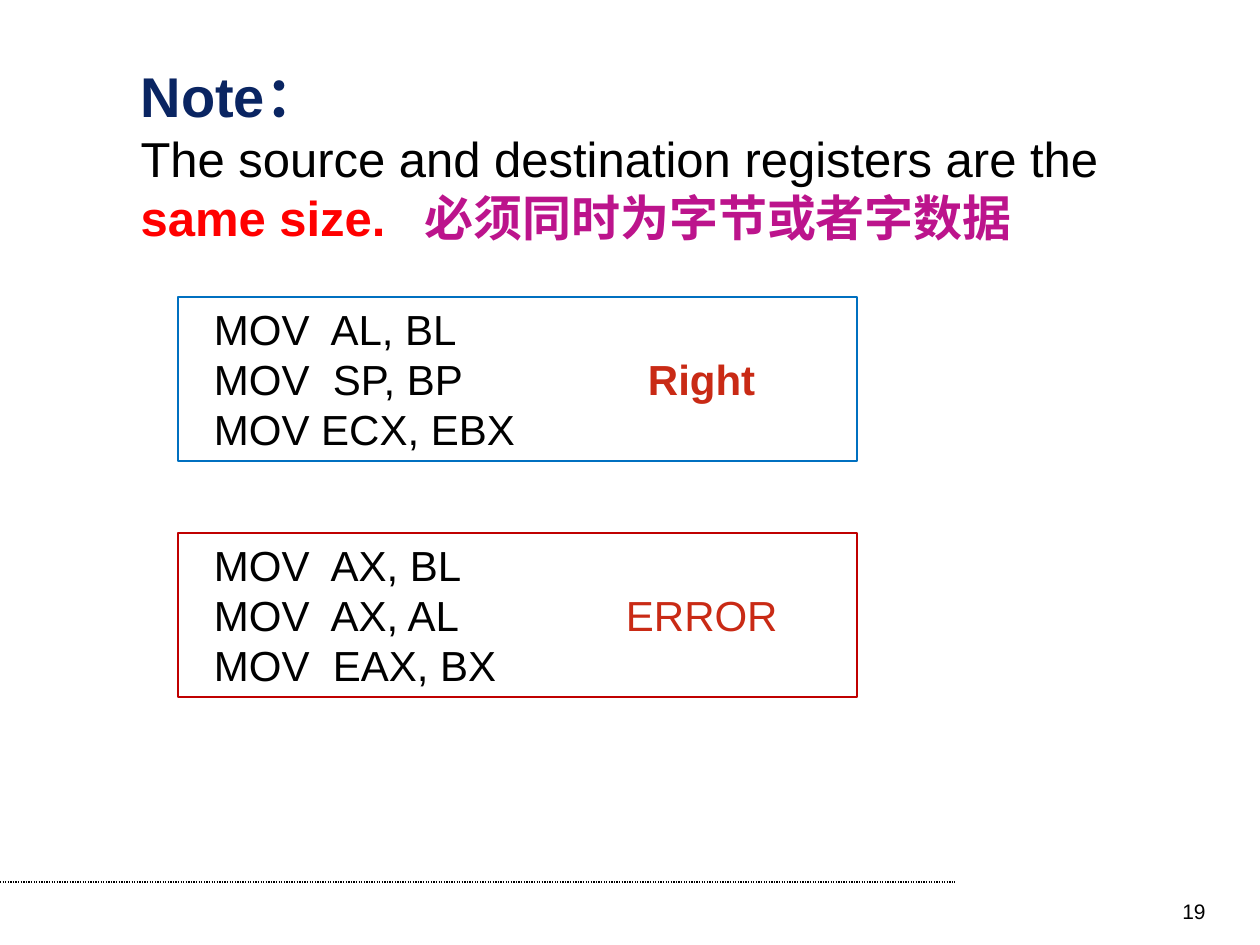
from pptx import Presentation
from pptx.dml.color import RGBColor
from pptx.enum.dml import MSO_LINE
from pptx.enum.shapes import MSO_CONNECTOR, MSO_SHAPE
from pptx.enum.text import MSO_ANCHOR, MSO_AUTO_SIZE, PP_ALIGN
from pptx.oxml.ns import qn
from pptx.util import Emu, Pt
from lxml.etree import SubElement

COLORS = {"navy": "0A2562", "black": "000000", "red": "FF0000",
          "magenta": "BC148C", "verdict": "C92A15",
          "right": "0070C0", "error": "C00000"}


def px(length):
    return Emu(round(length * 914400 / 126))


def add_span(para, text, size, color="black", bold=False):
    span = para.add_run()
    span.text = text
    span.font.name = "Arial"
    span.font.size = Pt(size)
    span.font.bold = bold
    span.font.color.rgb = RGBColor.from_string(COLORS[color])


deck = Presentation()
deck.slide_width, deck.slide_height = px(1260), px(945)
page = deck.slides.add_slide(deck.slide_layouts[5])

# Footer rule
rule = page.shapes.add_connector(MSO_CONNECTOR.STRAIGHT, 0, px(882), px(955), px(882))
rule.line.color.rgb = RGBColor.from_string(COLORS["black"])
rule.line.width = Pt(0.75)
rule.line.dash_style = MSO_LINE.ROUND_DOT
SubElement(rule._element.spPr, qn("a:effectLst"))

# Title, with a tab stop before the Chinese remark
title = page.shapes.title
title.left, title.top, title.width, title.height = px(128), px(32), px(1090), px(244)
frame = title.text_frame
frame.word_wrap = True
frame.auto_size = MSO_AUTO_SIZE.NONE
frame.vertical_anchor = MSO_ANCHOR.MIDDLE
para = frame.paragraphs[0]
para.alignment = PP_ALIGN.LEFT
tabs = SubElement(para._p.get_or_add_pPr(), qn("a:tabLst"))
SubElement(tabs, qn("a:tab"), pos=str(px(284)), algn="l")
add_span(para, "Note：", 32, "navy", True)
para.add_line_break()
add_span(para, "The source and destination registers are the ", 28)
add_span(para, "same size.\t", 28, "red", True)
add_span(para, "必须同时为字节或者字数据", 28, "magenta", True)

# Code boxes: top, outline, code, verdict, verdict tab stop, bold verdict
examples = [
    (297, "right", ["MOV  AL, BL", "MOV  SP, BP", "MOV ECX, EBX"], "Right", 434, True),
    (533, "error", ["MOV  AX, BL", "MOV  AX, AL", "MOV  EAX, BX"], "ERROR", 412, False),
]
for top, outline, code, verdict, stop, bold in examples:
    box = page.shapes.add_shape(MSO_SHAPE.RECTANGLE, px(178), px(top), px(679), px(164))
    box.shadow.inherit = False
    box.fill.background()
    box.line.color.rgb = RGBColor.from_string(COLORS[outline])
    box.line.width = Pt(0.75)
    frame = box.text_frame
    frame.word_wrap = True
    frame.vertical_anchor = MSO_ANCHOR.TOP
    frame.margin_left = px(36)
    for row, instruction in enumerate(code):
        para = frame.add_paragraph() if row else frame.paragraphs[0]
        para.alignment = PP_ALIGN.LEFT
        add_span(para, instruction, 24)
        if row == 1:
            tabs = SubElement(para._p.get_or_add_pPr(), qn("a:tabLst"))
            SubElement(tabs, qn("a:tab"), pos=str(px(stop)), algn="l")
            add_span(para, "\t" + verdict, 24, "verdict", bold)

# Page number
number = page.shapes.add_textbox(px(924), px(892), px(294), px(34))
number.text_frame.word_wrap = True
para = number.text_frame.paragraphs[0]
para.alignment = PP_ALIGN.RIGHT
add_span(para, "19", 12)

deck.save("out.pptx")
